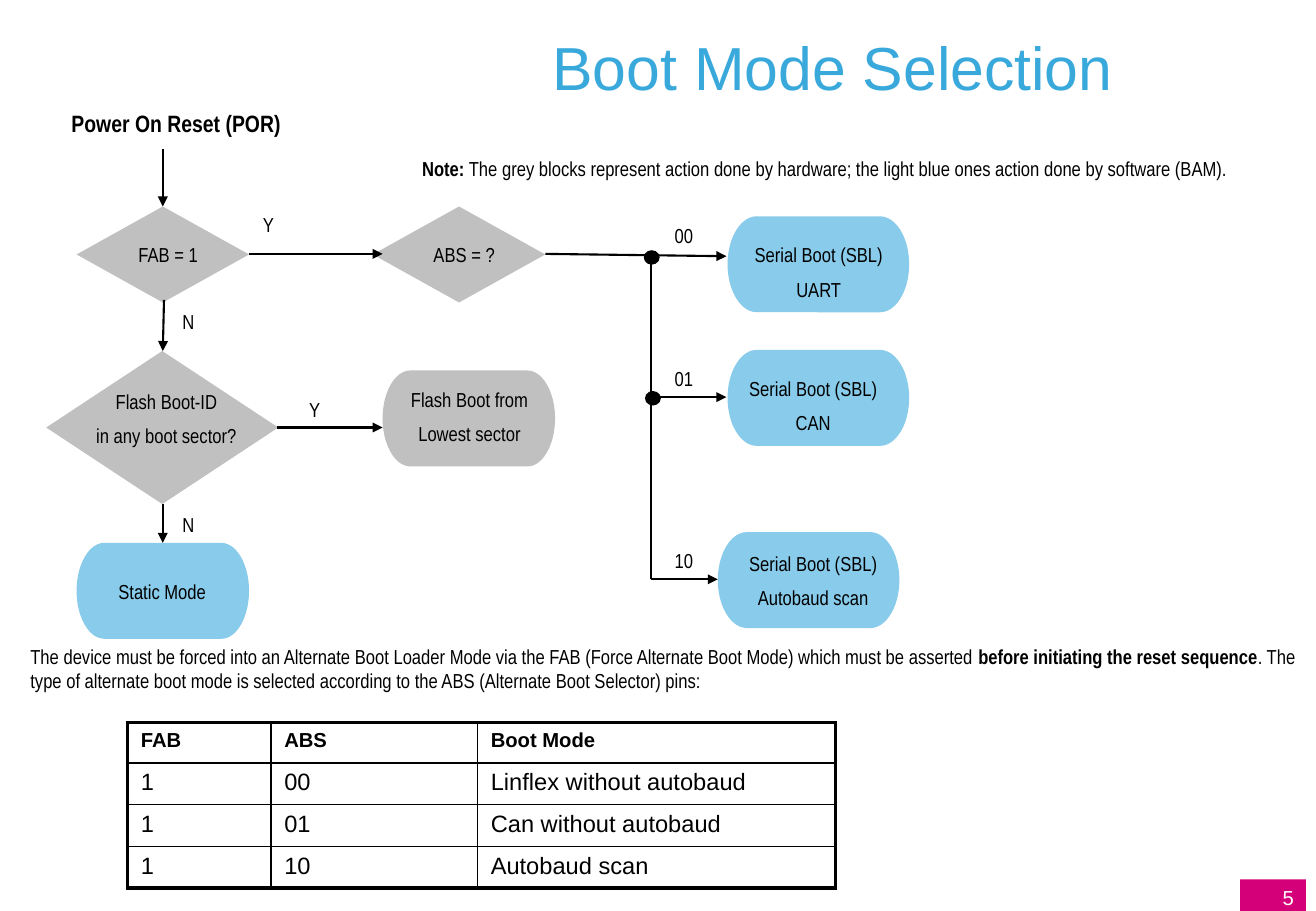
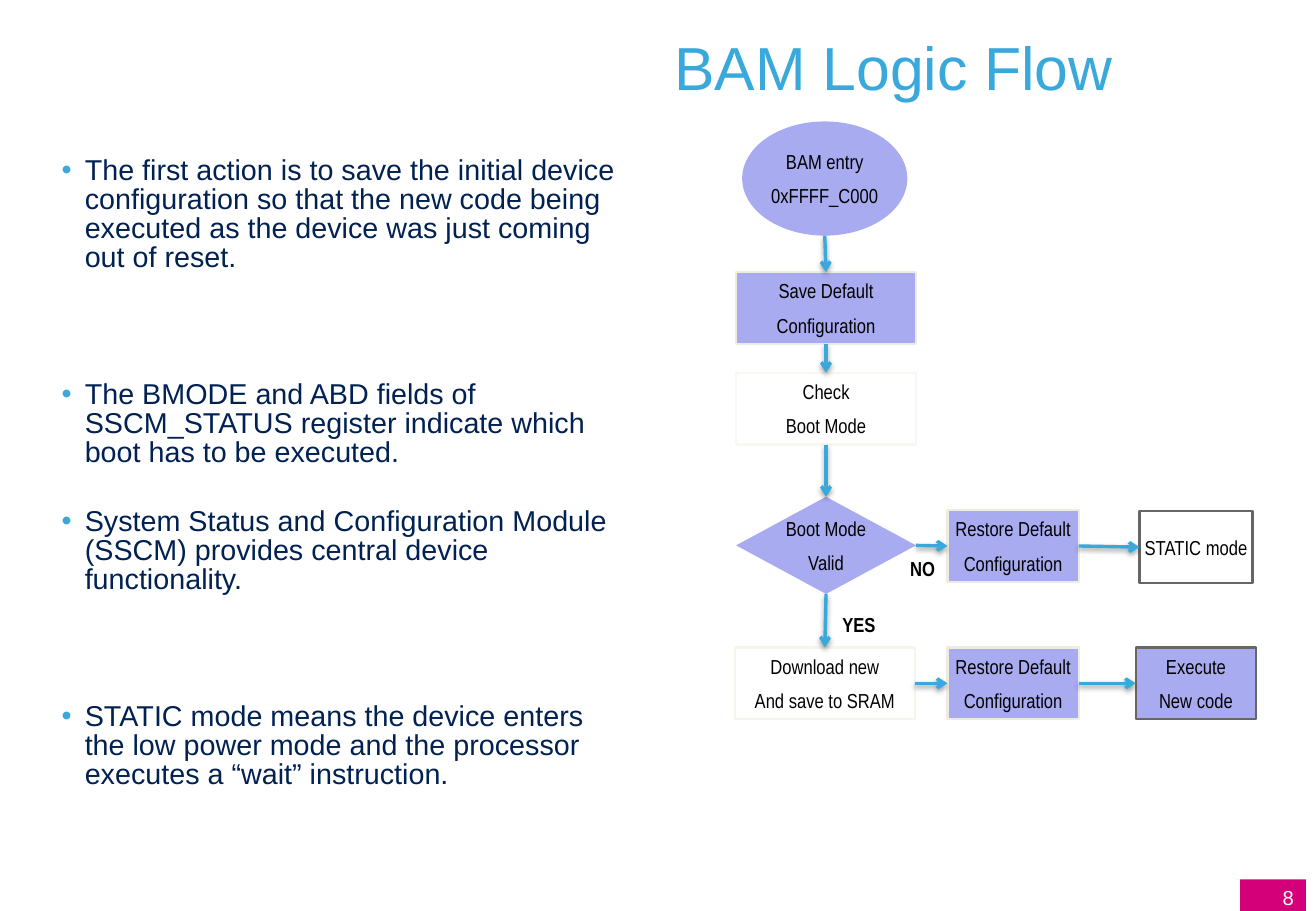
from lxml.etree import SubElement
from pptx import Presentation
from pptx.dml.color import RGBColor
from pptx.enum.shapes import MSO_CONNECTOR as Connector, MSO_SHAPE as Shape
from pptx.enum.text import MSO_ANCHOR as Anchor, MSO_AUTO_SIZE as AutoSize, PP_ALIGN as Align
from pptx.oxml.ns import qn
from pptx.util import Pt

COLOURS = {
    "black": "000000", "white": "FFFFFF", "title": "39A9DC", "body": "002152",
    "page": "D4007A", "hardware": "C0C0C0", "software": "88CBEA", "step": "A8ABF0",
    "cream": "EEECE1", "pale": "F8F7F3", "ivory": "F5F4ED", "grey": "666666",
}
NARROW, WIDE = "Arial Narrow", "Arial"
DEFAULT_INSETS, LOOSE_INSETS = (7.2, 3.6), (7.92, 3.96)

# Boot mode slide: boxes are (left, top, width, height) in points
BOOT_BLOCKS = [
    (Shape.FLOWCHART_DECISION, "hardware", (45.4, 122.4, 102.2, 56.9)),
    (Shape.FLOWCHART_DECISION, "hardware", (221, 122.4, 102.2, 56.9)),
    (Shape.FLOWCHART_DECISION, "hardware", (27.4, 208.1, 137.5, 90.7)),
    (Shape.FLOWCHART_TERMINATOR, "hardware", (226.8, 219.6, 102.2, 56.9)),
    (Shape.FLOWCHART_TERMINATOR, "software", (45.4, 321.8, 102.2, 56.9)),
    (Shape.FLOWCHART_TERMINATOR, "software", (431.3, 128.2, 107.6, 56.9)),
    (Shape.FLOWCHART_TERMINATOR, "software", (431.3, 207.4, 107.6, 56.9)),
    (Shape.FLOWCHART_TERMINATOR, "software", (425.5, 315.4, 107.6, 56.9)),
]
BOOT_ARROWS = [
    (96.5, 88.6, 96.5, 122.4), (97.2, 177.8, 96.5, 208.1), (96.5, 298.8, 96.5, 321.8),
    (147.6, 150.5, 226.8, 150.5), (164.2, 253.4, 226.8, 253.4),
    (323.3, 150.5, 430.6, 151.9), (385.9, 235.4, 430.6, 235.4), (385.9, 343.4, 425.5, 343.4),
]
SELECTOR_TRUNK = (385.9, 343.4, 385.9, 150.5)
JUNCTIONS = [(381.6, 148.3, 9.4, 8.6), (382.3, 231.8, 9.4, 8.6)]
# Text between ** marks is bold
BLOCK_LABELS = [
    (["FAB = 1"], (68.4, 139.7, 62.6, 22.3)),
    (["ABS = ?"], (243.4, 139.7, 63.4, 22.3)),
    (["Serial Boot (SBL)", "UART"], (431.3, 139.7, 108, 43.9)),
    (["Flash Boot-ID", "in any boot sector?"], (38.9, 226.8, 119.5, 43.9)),
    (["Flash Boot from", "Lowest sector"], (226.8, 225.4, 103, 43.9)),
    (["Static Mode"], (56.9, 339.1, 78.5, 22.3)),
    (["00"], (391, 128.2, 28.8, 22.3)),
    (["01"], (391, 213.1, 28.8, 22.3)),
    (["10"], (391, 321.1, 28.8, 22.3)),
    (["**Note:** The grey blocks represent action done by hardware; the light blue ones "
      "action done by software (BAM)."], (190.8, 88.6, 596.2, 22.3)),
]
WRAPPED_LABELS = [
    (["Serial Boot (SBL)", "CAN"], (425.5, 218.9, 113, 43.9)),
    (["Serial Boot (SBL)", "Autobaud scan"], (425.5, 322.6, 113, 43.9)),
]
POWER_ON = (["**Power On Reset (POR)**"], (17.3, 60.5, 174.2, 24.5))
STATEMENT = (["The device must be forced into an Alternate Boot Loader Mode via the FAB (Force "
              "Alternate Boot Mode) which must be asserted **before initiating the reset "
              "sequence**. The type of alternate boot mode is selected according to the ABS "
              "(Alternate Boot Selector) pins:"], (10.1, 378, 769.7, 36.7))
BOOT_BRANCHES = [("Y", (148.3, 122.4, 21.6, 21.6)), ("Y", (175.7, 231.8, 21.6, 21.6)),
                 ("N", (100.8, 180, 21.6, 21.6)), ("N", (100.8, 300.2, 21.6, 21.6))]
MODE_TABLE = [("FAB", "ABS", "Boot Mode"), ("1", "00", "Linflex without autobaud"),
              ("1", "01", "Can without autobaud"), ("1", "10", "Autobaud scan")]
TABLE_BOX = (75.6, 428.4, 419.8, 95.4)
COLUMN_WIDTHS, ROW_HEIGHTS = (85, 122.4, 212.4), (23.8, 22.5, 22.5, 22.5)

# Logic flow slide: name -> preset, fill, outline, box, lines
BAM_STEPS = {
    "entry": (Shape.OVAL, "step", None, (439.9, 72, 97.9, 67.7), ["BAM entry", "0xFFFF_C000"]),
    "save": (Shape.RECTANGLE, "step", "cream", (436.3, 161.3, 106.6, 42.5),
             ["Save Default", "Configuration"]),
    "check": (Shape.RECTANGLE, "white", "pale", (436.3, 221, 106.6, 42.5),
              ["Check", "Boot Mode"]),
    "valid": (Shape.DIAMOND, "step", None, (436.3, 294.5, 106.6, 57.6), ["Boot Mode", "Valid"]),
    "restore": (Shape.RECTANGLE, "step", "cream", (561.6, 302.4, 77.8, 42.5),
                ["Restore Default", "Configuration"]),
    "static": (Shape.RECTANGLE, "white", "grey", (675.4, 303.1, 67, 42.5), ["STATIC mode"]),
    "download": (Shape.RECTANGLE, "white", "ivory", (435.6, 383.8, 106.6, 42.5),
                 ["Download new", "And save to SRAM"]),
    "restore new": (Shape.RECTANGLE, "step", "cream", (561.6, 383.8, 77.8, 42.5),
                    ["Restore Default", "Configuration"]),
    "execute": (Shape.RECTANGLE, "step", "grey", (673.2, 383.8, 71.3, 42.5),
                ["Execute", "New code"]),
}
DOWN_CHAIN = ["entry", "save", "check", "valid", "download"]
RIGHT_CHAINS = [["valid", "restore", "static"], ["download", "restore new", "execute"]]
BAM_BRANCHES = [("**NO**", (532.1, 326.2, 29.5, 21.6)), ("**YES**", (491.8, 359.3, 34.6, 21.6))]
TOP, LEFT, BOTTOM, RIGHT = range(4)
# Bullet text and the space before it
BULLETS = [
    ("The first action is to save the initial device configuration so that the new code being "
     "executed as the device was just coming out of reset.", 18),
    ("The BMODE and ABD fields of SSCM_STATUS register indicate which boot has to be executed.",
     58),
    ("System Status and Configuration Module (SSCM) provides central device functionality.", 18),
    ("STATIC mode means the device enters the low power mode and the processor executes a "
     "\u201cwait\u201d instruction.", 58),
]
BULLET_BOX = (29.5, 90, 347.8, 390.2)


def rgb(name):
    """Return the named colour."""
    return RGBColor.from_string(COLOURS[name])


def points(values):
    """Turn plain numbers into lengths in points."""
    return [Pt(value) for value in values]


def write_text(shape, lines, size=12, font=NARROW, colour="black", align=Align.CENTER,
               insets=LOOSE_INSETS, wrap=False, anchor=Anchor.TOP):
    """Fill a shape with formatted paragraphs."""
    frame = shape.text_frame
    frame.word_wrap, frame.vertical_anchor = wrap, anchor
    frame.margin_left = frame.margin_right = Pt(insets[0])
    frame.margin_top = frame.margin_bottom = Pt(insets[1])
    frame.text = "\n".join(lines)
    for paragraph, line in zip(frame.paragraphs, lines):
        paragraph.alignment, paragraph.space_before = align, Pt(size / 2)
        paragraph.text = ""
        for index, part in enumerate(line.split("**")):
            if part:
                run = paragraph.add_run()
                run.text = part
                run.font.size, run.font.name = Pt(size), font
                run.font.bold, run.font.color.rgb = index % 2 == 1, rgb(colour)


def add_label(slide, lines, box, **style):
    """Add a text box that grows with its text."""
    label = slide.shapes.add_textbox(*points(box))
    write_text(label, lines, **style)
    label.text_frame.auto_size = AutoSize.SHAPE_TO_FIT_TEXT


def add_block(slide, preset, fill, box, outline=None):
    """Add a flat preset shape."""
    block = slide.shapes.add_shape(preset, *points(box))
    block.shadow.inherit = False
    block.fill.solid()
    block.fill.fore_color.rgb = rgb(fill)
    if outline:
        block.line.color.rgb, block.line.width = rgb(outline), Pt(1.25)
    else:
        block.line.fill.background()
    return block


def add_line(slide, ends, colour="black", width=1.25, head=None, shadow=False):
    """Add a straight line, with an arrowhead or a soft shadow if asked."""
    line = slide.shapes.add_connector(Connector.STRAIGHT, *points(ends))
    line.line.color.rgb, line.line.width = rgb(colour), Pt(width)
    if head:
        SubElement(line.line._get_or_add_ln(), qn("a:tailEnd"), type=head)
    effects = SubElement(line._element.spPr, qn("a:effectLst"))
    if shadow:
        outer = SubElement(effects, qn("a:outerShdw"), blurRad=str(Pt(3.1)),
                           dist=str(Pt(1.6)), dir="5400000", rotWithShape="0")
        tint = SubElement(outer, qn("a:srgbClr"), val=COLOURS["black"])
        SubElement(tint, qn("a:alpha"), val="38000")
    return line


def link(slide, start, end, start_site, end_site):
    """Join two steps with an arrow."""
    x, y = start.left + start.width // 2, start.top + start.height
    arrow = add_line(slide, (x.pt if hasattr(x, "pt") else x / Pt(1), y / Pt(1)) * 2,
                     "title", 2, "arrow", True)
    if start.auto_shape_type != Shape.OVAL:  # an oval numbers its sites differently
        arrow.begin_connect(start, start_site)
    arrow.end_connect(end, end_site)


def add_slide(presentation, title, number):
    """Add a slide with the shared title and page number."""
    slide = presentation.slides.add_slide(presentation.slide_layouts[6])
    heading = slide.shapes.add_textbox(*points((29.5, 12.2, 637.2, 54)))
    write_text(heading, [title], 36, WIDE, "title", Align.RIGHT, DEFAULT_INSETS, True,
               Anchor.MIDDLE)
    page = add_block(slide, Shape.RECTANGLE, "page", (735.1, 521.3, 38.9, 21.6))
    write_text(page, [number], 12, WIDE, "white", Align.RIGHT, DEFAULT_INSETS,
               anchor=Anchor.MIDDLE)
    return slide


def set_borders(cell, widths):
    """Draw black borders round a cell: left, right, top, bottom."""
    properties = cell._tc.get_or_add_tcPr()
    for index, (side, width) in enumerate(zip(("lnL", "lnR", "lnT", "lnB"), widths)):
        border = properties.makeelement(qn("a:" + side), {"w": str(Pt(width))})
        fill = SubElement(border, qn("a:solidFill"))
        SubElement(fill, qn("a:srgbClr"), val=COLOURS["black"])
        properties.insert(index, border)


def add_mode_table(slide):
    """Add the boot mode table with a heavy frame and thin inner lines."""
    row_count, column_count = len(MODE_TABLE), len(COLUMN_WIDTHS)
    table = slide.shapes.add_table(row_count, column_count, *points(TABLE_BOX)).table
    table.first_row = table.horz_banding = False
    for column, width in zip(table.columns, COLUMN_WIDTHS):
        column.width = Pt(width)
    for r, (row, height) in enumerate(zip(table.rows, ROW_HEIGHTS)):
        row.height = Pt(height)
        for c, cell in enumerate(row.cells):
            cell.text = MODE_TABLE[r][c]
            cell.margin_left = cell.margin_right = Pt(LOOSE_INSETS[0])
            cell.margin_top = cell.margin_bottom = Pt(LOOSE_INSETS[1])
            cell.fill.background()
            font = cell.text_frame.paragraphs[0].runs[0].font
            font.name, font.size, font.bold = WIDE, Pt(14 if r else 12), r == 0
            font.color.rgb = rgb("black")
            on_frame = (c == 0, c == column_count - 1, r == 0, r == row_count - 1)
            set_borders(cell, [2.25 if outer else 1 for outer in on_frame])


def add_bullets(slide):
    """Add the explanatory bullet list."""
    box = slide.shapes.add_textbox(*points(BULLET_BOX))
    write_text(box, [text for text, _ in BULLETS], 17, WIDE, "body", Align.LEFT,
               DEFAULT_INSETS, True)
    for paragraph, (_, space) in zip(box.text_frame.paragraphs, BULLETS):
        paragraph.space_before, paragraph.space_after = Pt(space), Pt(6)
        paragraph.line_spacing = 0.84
        properties = paragraph._p.get_or_add_pPr()
        properties.set("marL", str(Pt(13.7)))
        properties.set("indent", str(-Pt(13.7)))
        tint = SubElement(properties, qn("a:buClr"))
        SubElement(tint, qn("a:srgbClr"), val=COLOURS["title"])
        SubElement(properties, qn("a:buFont"), typeface=WIDE)
        SubElement(properties, qn("a:buChar"), char="\u2022")


def build_boot_mode(presentation):
    """Build the boot mode selection slide."""
    slide = add_slide(presentation, "Boot Mode Selection", "5")
    add_mode_table(slide)
    for preset, fill, box in BOOT_BLOCKS:
        add_block(slide, preset, fill, box)
    for ends in BOOT_ARROWS:
        add_line(slide, ends, head="triangle")
    add_line(slide, SELECTOR_TRUNK)
    for box in JUNCTIONS:
        add_block(slide, Shape.OVAL, "black", box)
    for lines, box in BLOCK_LABELS:
        add_label(slide, lines, box)
    for lines, box in WRAPPED_LABELS:
        add_label(slide, lines, box, wrap=True)
    add_label(slide, *POWER_ON, size=14, wrap=True)
    add_label(slide, *STATEMENT, align=Align.LEFT, wrap=True)
    for text, box in BOOT_BRANCHES:
        add_label(slide, [text], box, insets=DEFAULT_INSETS)


def build_logic_flow(presentation):
    """Build the BAM logic flow slide."""
    slide = add_slide(presentation, "BAM Logic Flow", "8")
    add_bullets(slide)
    steps = {}
    for name, (preset, fill, outline, box, lines) in BAM_STEPS.items():
        steps[name] = add_block(slide, preset, fill, box, outline)
        write_text(steps[name], lines, anchor=Anchor.MIDDLE)
    for start, end in zip(DOWN_CHAIN, DOWN_CHAIN[1:]):
        link(slide, steps[start], steps[end], BOTTOM, TOP)
    for chain in RIGHT_CHAINS:
        for start, end in zip(chain, chain[1:]):
            link(slide, steps[start], steps[end], RIGHT, LEFT)
    for text, box in BAM_BRANCHES:
        add_label(slide, [text], box, insets=DEFAULT_INSETS)


presentation = Presentation()
presentation.slide_width, presentation.slide_height = Pt(780), Pt(540)
build_boot_mode(presentation)
build_logic_flow(presentation)
presentation.save("out.pptx")
